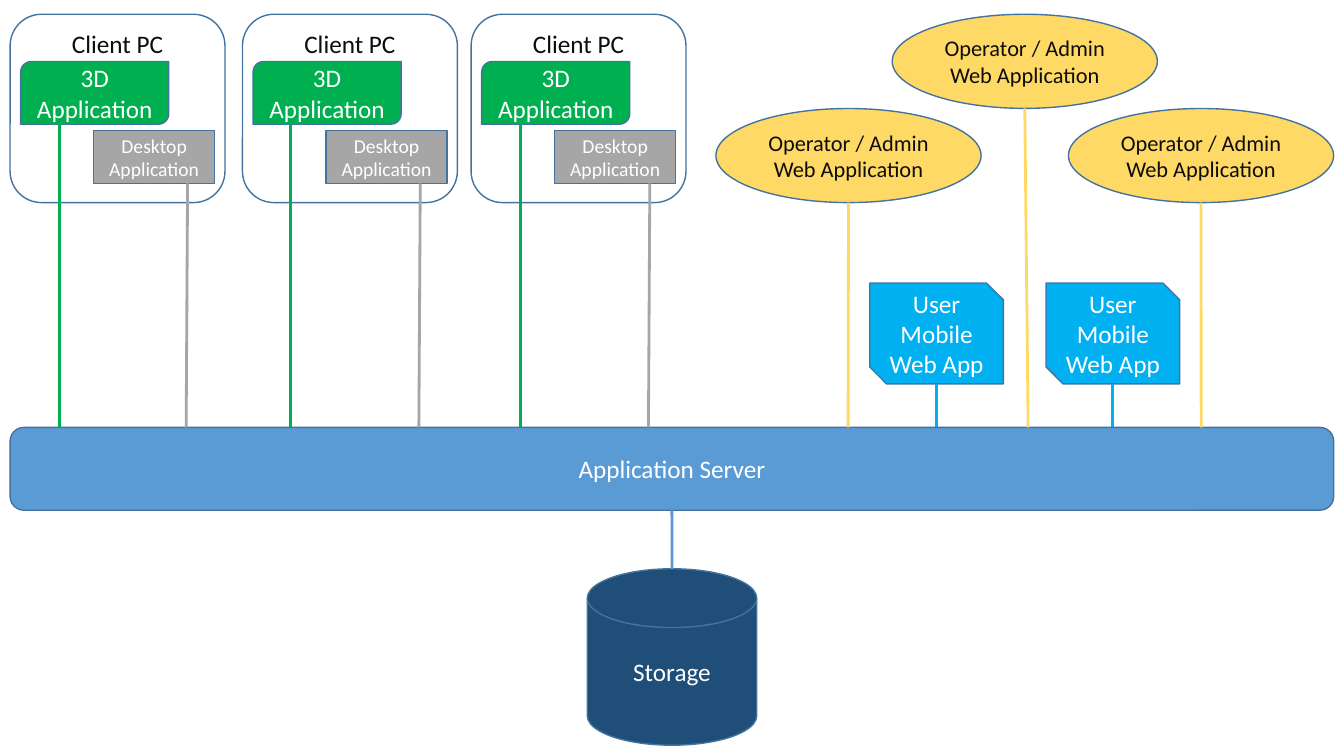
"""Build an application architecture slide: clients, server and storage."""
from lxml.etree import SubElement
from pptx import Presentation
from pptx.dml.color import RGBColor
from pptx.enum.shapes import MSO_CONNECTOR, MSO_SHAPE
from pptx.enum.text import MSO_ANCHOR, PP_ALIGN
from pptx.oxml.ns import qn
from pptx.util import Pt

WHITE, BLACK = "FFFFFF", "0D0D0D"
BLUE, GREEN, GRAY, YELLOW, CYAN = "5B9BD5", "00B050", "A6A6A6", "FFD966", "00B0F0"
SERVER_TOP, SERVER_HEIGHT = 305.3, 59.2

presentation = Presentation()
presentation.slide_width, presentation.slide_height = Pt(960), Pt(540)
slide = presentation.slides.add_slide(presentation.slide_layouts[6])


def add_box(kind, box, fill, lines, size=18, color=WHITE, anchor=MSO_ANCHOR.MIDDLE):
    shape = slide.shapes.add_shape(kind, *[Pt(value) for value in box])
    shape.shadow.inherit = False
    if fill:
        shape.fill.solid()
        shape.fill.fore_color.rgb = RGBColor.from_string(fill)
    else:
        shape.fill.background()
    shape.line.color.rgb = RGBColor.from_string("43739E")
    shape.line.width = Pt(1)
    frame = shape.text_frame
    frame.word_wrap = True
    frame.vertical_anchor = anchor
    for index, line in enumerate(lines):
        paragraph = frame.add_paragraph() if index else frame.paragraphs[0]
        paragraph.alignment = PP_ALIGN.CENTER
        run = paragraph.add_run()
        run.text = line
        run.font.name = "Calibri"
        run.font.size = Pt(size)
        run.font.color.rgb = RGBColor.from_string(color)
    return shape


def add_link(start_x, start_y, end_x, end_y, color):
    connector = slide.shapes.add_connector(
        MSO_CONNECTOR.STRAIGHT, Pt(start_x), Pt(start_y), Pt(end_x), Pt(end_y))
    connector.line.color.rgb = RGBColor.from_string(color)
    connector.line.width = Pt(2)
    SubElement(connector._element.spPr, qn("a:effectLst"))
    return connector


add_box(MSO_SHAPE.FLOWCHART_MAGNETIC_DISK, (419.5, 406.3, 121, 126), "1F4E79", ["Storage"])
server = add_box(MSO_SHAPE.ROUNDED_RECTANGLE, (7.2, SERVER_TOP, 945.5, SERVER_HEIGHT),
                 BLUE, ["Application Server"])
storage_link = add_link(480, SERVER_TOP + SERVER_HEIGHT, 480, 406.3, BLUE)
storage_link.begin_connect(server, 2)

for left, top, end_x in [(511.4, 77.5, 605.8), (763.2, 77.5, 858), (637.3, 10.2, 734.4)]:
    add_box(MSO_SHAPE.OVAL, (left, top, 189.4, 67.2), YELLOW,
            ["Operator / Admin Web Application"], 16, BLACK)
    add_link(left + 94.7, top + 67.2, end_x, SERVER_TOP, YELLOW)

for left in (621.3, 747.2):
    add_box(MSO_SHAPE.SNIP_2_DIAG_RECTANGLE, (left, 202.2, 95.4, 72), CYAN,
            ["User", "Mobile Web App"])
    add_link(left + 47.7, 274.2, left + 47.7, SERVER_TOP, CYAN)

for left, green_x, gray_x in [(7.2, 42.5, 134), (173.2, 207.4, 300.2), (336.5, 371.6, 464.2)]:
    add_box(MSO_SHAPE.RECTANGLE, (left + 59.6, 93.2, 86.6, 37.8), GRAY,
            ["Desktop Application"], 14)
    add_box(MSO_SHAPE.ROUNDED_RECTANGLE, (left, 10.2, 153.5, 134.5), None,
            ["Client PC"], 18, BLACK, MSO_ANCHOR.TOP)
    add_box(MSO_SHAPE.ROUND_2_DIAG_RECTANGLE, (left + 7.6, 44, 105.8, 44.8), GREEN,
            ["3D Application"])
    add_link(green_x, 88.8, green_x, SERVER_TOP, GREEN)
    add_link(gray_x, 131, gray_x - 1, SERVER_TOP, GRAY)

presentation.save("out.pptx")
